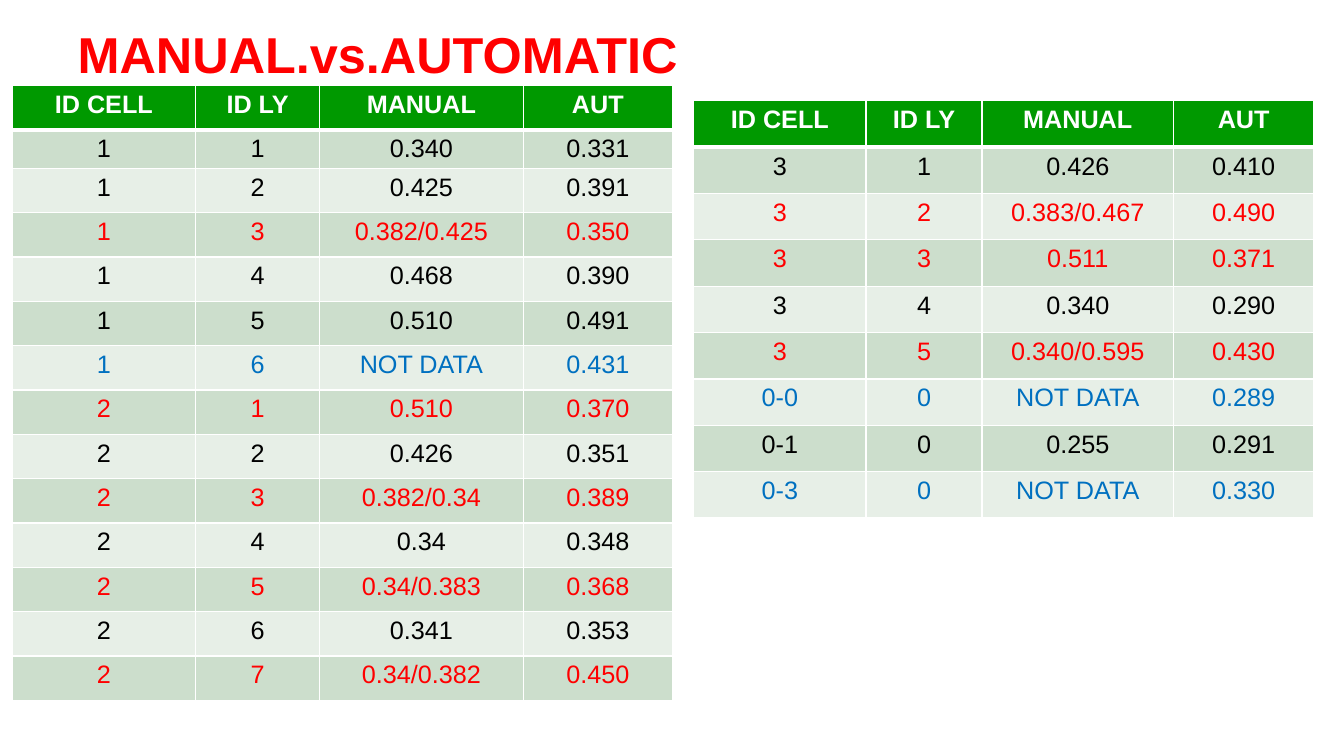
from lxml.etree import SubElement
from pptx import Presentation
from pptx.dml.color import RGBColor
from pptx.enum.text import MSO_ANCHOR as Anchor, MSO_AUTO_SIZE as AutoSize, PP_ALIGN as Align
from pptx.oxml.ns import qn
from pptx.util import Inches, Pt

WHITE, BLACK, RED, BLUE = "FFFFFF", "000000", "FF0000", "0070C0"
HEADER_FILL, BAND_FILLS = "009900", ("CCDECC", "E7EFE7")
HEADERS = ("ID CELL", "ID LY", "MANUAL", "AUT")


def add_run(para, text, size, color, bold):
    span = para.add_run()
    span.text = text
    span.font.name = "Arial"
    span.font.size = Pt(size)
    span.font.bold = bold
    span.font.color.rgb = RGBColor.from_string(color)


def add_border(cell, edge, points):
    line = SubElement(cell._tc.get_or_add_tcPr(), qn(f"a:ln{edge}"), w=str(Pt(points)))
    fill = SubElement(line, qn("a:solidFill"))
    SubElement(fill, qn("a:srgbClr"), val=WHITE)


deck = Presentation()
deck.slide_width, deck.slide_height = Inches(13.33), Inches(7.5)
page = deck.slides.add_slide(deck.slide_layouts[5])

# Title
title = page.shapes.title
title.left, title.top = Inches(0.67), Inches(0.21)
title.width, title.height = Inches(12), Inches(0.64)
frame = title.text_frame
frame.auto_size = AutoSize.NONE
frame.vertical_anchor = Anchor.MIDDLE
frame.paragraphs[0].alignment = Align.LEFT
add_run(frame.paragraphs[0], "MANUAL.vs.AUTOMATIC", 36, RED, True)

# Measurements: cell, layer, manual value, automatic value, text colour
left_rows = [
    ("1", "1", "0.340", "0.331", BLACK),
    ("1", "2", "0.425", "0.391", BLACK),
    ("1", "3", "0.382/0.425", "0.350", RED),
    ("1", "4", "0.468", "0.390", BLACK),
    ("1", "5", "0.510", "0.491", BLACK),
    ("1", "6", "NOT DATA", "0.431", BLUE),
    ("2", "1", "0.510", "0.370", RED),
    ("2", "2", "0.426", "0.351", BLACK),
    ("2", "3", "0.382/0.34", "0.389", RED),
    ("2", "4", "0.34", "0.348", BLACK),
    ("2", "5", "0.34/0.383", "0.368", RED),
    ("2", "6", "0.341", "0.353", BLACK),
    ("2", "7", "0.34/0.382", "0.450", RED),
]
right_rows = [
    ("3", "1", "0.426", "0.410", BLACK),
    ("3", "2", "0.383/0.467", "0.490", RED),
    ("3", "3", "0.511", "0.371", RED),
    ("3", "4", "0.340", "0.290", BLACK),
    ("3", "5", "0.340/0.595", "0.430", RED),
    ("0-0", "0", "NOT DATA", "0.289", BLUE),
    ("0-1", "0", "0.255", "0.291", BLACK),
    ("0-3", "0", "NOT DATA", "0.330", BLUE),
]

# Left, top, column widths, row heights and rows of each table
tables = [
    (0.12, 0.85, (1.82, 1.23, 2.02, 1.48), [0.44, 0.36] + [0.44] * 12, left_rows),
    (6.88, 1, (1.71, 1.15, 1.9, 1.39), [0.46] * 9, right_rows),
]
for left, top, widths, heights, rows in tables:
    table = page.shapes.add_table(
        len(heights), len(widths), Inches(left), Inches(top),
        Inches(sum(widths)), Inches(sum(heights))).table
    for column, width in zip(table.columns, widths):
        column.width = Inches(width)
    for row, height in zip(table.rows, heights):
        row.height = Inches(height)

    for r, (*texts, color) in enumerate([(*HEADERS, WHITE)] + rows):
        is_header = r == 0
        fill = HEADER_FILL if is_header else BAND_FILLS[(r - 1) % 2]
        for c, text in enumerate(texts):
            cell = table.cell(r, c)
            add_border(cell, "L", 1)
            add_border(cell, "R", 1)
            add_border(cell, "T", 3 if r == 1 else 1)
            add_border(cell, "B", 3 if is_header else 1)
            cell.fill.solid()
            cell.fill.fore_color.rgb = RGBColor.from_string(fill)
            para = cell.text_frame.paragraphs[0]
            para.alignment = Align.CENTER
            add_run(para, text, 18, color, is_header)

deck.save("out.pptx")
